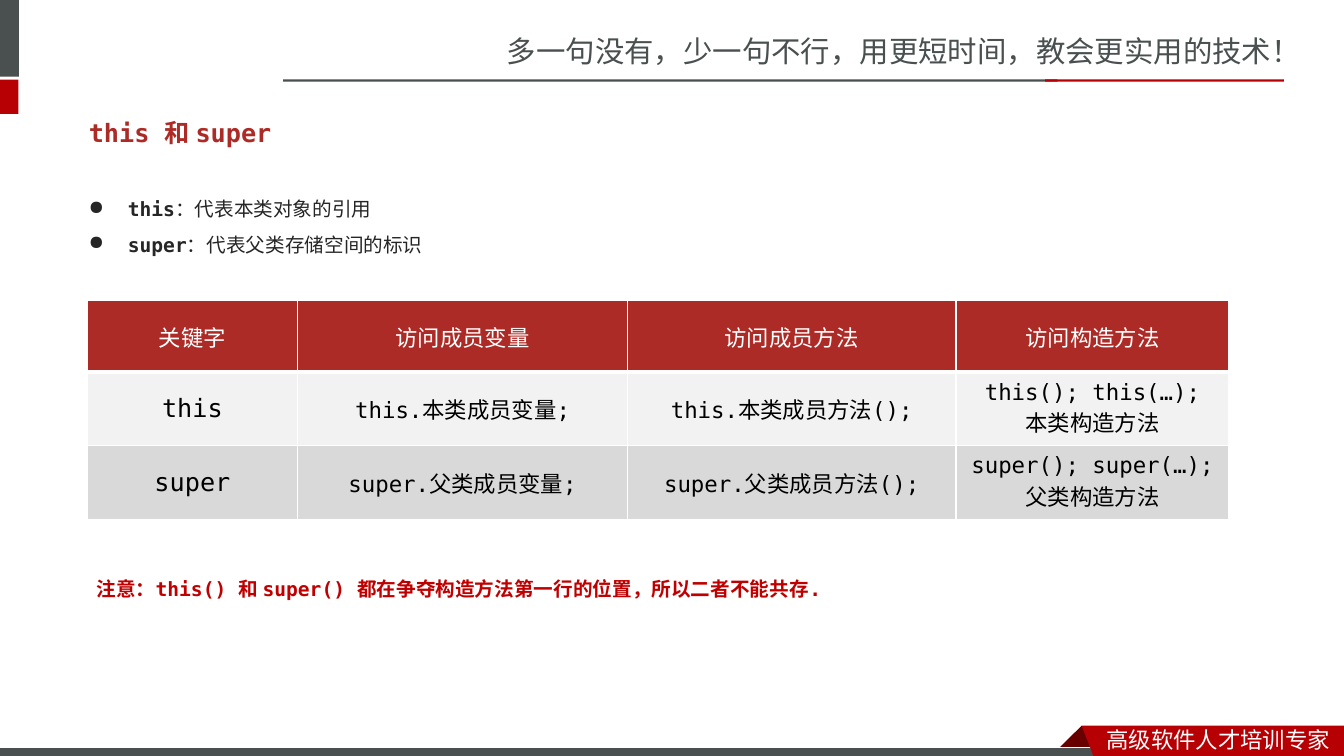
from lxml import etree
from pptx import Presentation
from pptx import util as u
from pptx.dml.color import RGBColor
from pptx.enum import shapes, text
from pptx.oxml import ns

SLATE = RGBColor(0x49, 0x50, 0x4F)
RED = RGBColor(0xB6, 0x00, 0x04)
DARK_RED = RGBColor(0x68, 0x00, 0x00)
BRICK = RGBColor(0xAD, 0x2B, 0x26)
NOTE_RED = RGBColor(0xC0, 0x00, 0x00)
INK = RGBColor(0x26, 0x26, 0x26)
BLACK = RGBColor(0x00, 0x00, 0x00)
WHITE = RGBColor(0xFF, 0xFF, 0xFF)
LIGHT_GREY = RGBColor(0xF2, 0xF2, 0xF2)
MID_GREY = RGBColor(0xD9, 0xD9, 0xD9)

MONO = "DejaVu Sans Mono"
SANS = "Noto Sans CJK SC"
HEADER_SANS = "Noto Sans CJK JP"

COLUMN_WIDTHS = (150.5, 235.5, 234.7, 195)
ROW_HEIGHTS = (51, 52.5, 52.5)
TABLE_ROWS = (
    ("关键字", "访问成员变量", "访问成员方法", "访问构造方法"),
    ("this", "this.本类成员变量;", "this.本类成员方法();", "this(); this(…);\n本类构造方法"),
    ("super", "super.父类成员变量;", "super.父类成员方法();", "super(); super(…);\n父类构造方法"),
)
ROW_FILLS = (BRICK, LIGHT_GREY, MID_GREY)
DEFINITIONS = (("this", "：代表本类对象的引用"), ("super", "：代表父类存储空间的标识"))


def format_run(run, size, color, latin, bold=False):
    run.font.size = u.Pt(size)
    run.font.color.rgb = color
    run.font.bold = bold
    run.font.name = latin
    east_asian = etree.SubElement(run.font._element, ns.qn("a:ea"))
    east_asian.set("typeface", SANS if latin == MONO else latin)


def format_frame(frame, *style):
    for paragraph in frame.paragraphs:
        for run in paragraph.runs:
            format_run(run, *style)


def place(shape, left, top, width, height):
    shape.left, shape.top = u.Pt(left), u.Pt(top)
    shape.width, shape.height = u.Pt(width), u.Pt(height)


def paint(shape, color, outline=None):
    shape.shadow.inherit = False
    shape.fill.solid()
    shape.fill.fore_color.rgb = color
    if outline is None:
        shape.line.fill.background()
    else:
        shape.line.color.rgb = outline
        shape.line.width = u.Pt(0.75)


def add_bar(slide, box, color, outline=None):
    bar = slide.shapes.add_shape(shapes.MSO_SHAPE.RECTANGLE, *map(u.Pt, box))
    paint(bar, color, outline)


def add_outline(slide, points, color):
    corners = [(u.Pt(x), u.Pt(y)) for x, y in points]
    builder = slide.shapes.build_freeform(*corners[0])
    builder.add_line_segments(corners[1:], close=True)
    paint(builder.convert_to_shape(), color)


def add_text(slide, box, wording, *style, line_spacing=None):
    frame = slide.shapes.add_textbox(*map(u.Pt, box)).text_frame
    frame.word_wrap = True
    frame.text = wording
    frame.paragraphs[0].line_spacing = line_spacing
    format_frame(frame, *style)


def set_title(slide):
    title = slide.shapes.title
    place(title, 56.2, 74.2, 846.7, 41)
    frame = title.text_frame
    frame.text = "this 和 super"
    frame.auto_size = text.MSO_AUTO_SIZE.NONE
    frame.vertical_anchor = text.MSO_ANCHOR.MIDDLE
    frame.paragraphs[0].alignment = text.PP_ALIGN.LEFT
    format_frame(frame, 18, BRICK, MONO, True)


def add_definitions(slide):
    frame = slide.shapes.add_textbox(u.Pt(56.2), u.Pt(128.9), u.Pt(815), u.Pt(55.4)).text_frame
    frame.word_wrap = True
    for index, (keyword, meaning) in enumerate(DEFINITIONS):
        paragraph = frame.paragraphs[0] if index == 0 else frame.add_paragraph()
        paragraph.line_spacing = 1.5
        properties = paragraph._p.get_or_add_pPr()
        properties.set("marL", str(u.Pt(28)))
        properties.set("indent", str(u.Pt(-28)))
        etree.SubElement(properties, ns.qn("a:buChar")).set("char", "●")
        for wording, bold in ((keyword, True), (meaning, False)):
            run = paragraph.add_run()
            run.text = wording
            format_run(run, 14, INK, MONO, bold)


def add_borders(cell, bottom_width):
    properties = cell._tc.get_or_add_tcPr()
    widths = {"lnL": 1, "lnR": 1, "lnT": 1, "lnB": bottom_width}
    for index, (side, width) in enumerate(widths.items()):
        line = etree.Element(ns.qn(f"a:{side}"), w=str(u.Pt(width)))
        fill = etree.SubElement(line, ns.qn("a:solidFill"))
        etree.SubElement(fill, ns.qn("a:srgbClr")).set("val", str(WHITE))
        properties.insert(index, line)


def add_keyword_table(slide):
    frame = slide.shapes.add_table(
        len(ROW_HEIGHTS), len(COLUMN_WIDTHS), u.Pt(62.2), u.Pt(214.8),
        u.Pt(sum(COLUMN_WIDTHS)), u.Pt(sum(ROW_HEIGHTS)))
    table = frame.table
    for column, width in zip(table.columns, COLUMN_WIDTHS):
        column.width = u.Pt(width)
    for row_index, (row, height) in enumerate(zip(table.rows, ROW_HEIGHTS)):
        row.height = u.Pt(height)
        is_header = row_index == 0
        for column_index, cell in enumerate(row.cells):
            cell.text = TABLE_ROWS[row_index][column_index]
            cell.vertical_anchor = text.MSO_ANCHOR.MIDDLE
            cell.fill.solid()
            cell.fill.fore_color.rgb = ROW_FILLS[row_index]
            add_borders(cell, 3 if is_header else 1)
            for paragraph in cell.text_frame.paragraphs:
                paragraph.alignment = text.PP_ALIGN.CENTER
            if is_header:
                format_frame(cell.text_frame, 16, WHITE, HEADER_SANS)
            else:
                format_frame(cell.text_frame, 18 if column_index == 0 else 16, BLACK, MONO)


def add_header(slide):
    add_text(slide, (355, 20.2, 605.5, 34), "多一句没有，少一句不行，用更短时间，教会更实用的技术！",
             21, SLATE, SANS)
    add_bar(slide, (-4.3, 0, 17.8, 54.7), SLATE)
    add_bar(slide, (-4.3, 56.9, 17.5, 24.5), RED)
    add_bar(slide, (202.3, 56.7, 553, 1.6), SLATE)
    add_bar(slide, (746.6, 56.7, 170.6, 1.6), RED)


def add_footer(slide):
    add_outline(slide, [(772.6, 518.4), (788.4, 534.2), (787.7, 535), (757.4, 535), (756.7, 534.2)],
                DARK_RED)
    add_bar(slide, (-0.7, 533.8, 792, 8.6), SLATE, WHITE)
    add_outline(slide, [(772.6, 518.4), (960, 518.4), (960, 542.9), (781.9, 542.2)], RED)
    add_text(slide, (783.4, 514.8, 176.6, 26.6), "高级软件人才培训专家", 16, WHITE, SANS)


def main():
    presentation = Presentation()
    presentation.slide_width, presentation.slide_height = u.Pt(960), u.Pt(540)
    slide = presentation.slides.add_slide(presentation.slide_layouts[5])
    add_header(slide)
    add_footer(slide)
    set_title(slide)
    add_definitions(slide)
    add_keyword_table(slide)
    add_text(slide, (61.9, 400.3, 815, 30.2),
             "注意：this() 和 super() 都在争夺构造方法第一行的位置，所以二者不能共存.",
             14, NOTE_RED, MONO, True, line_spacing=1.5)
    presentation.save("out.pptx")


if __name__ == "__main__":
    main()
